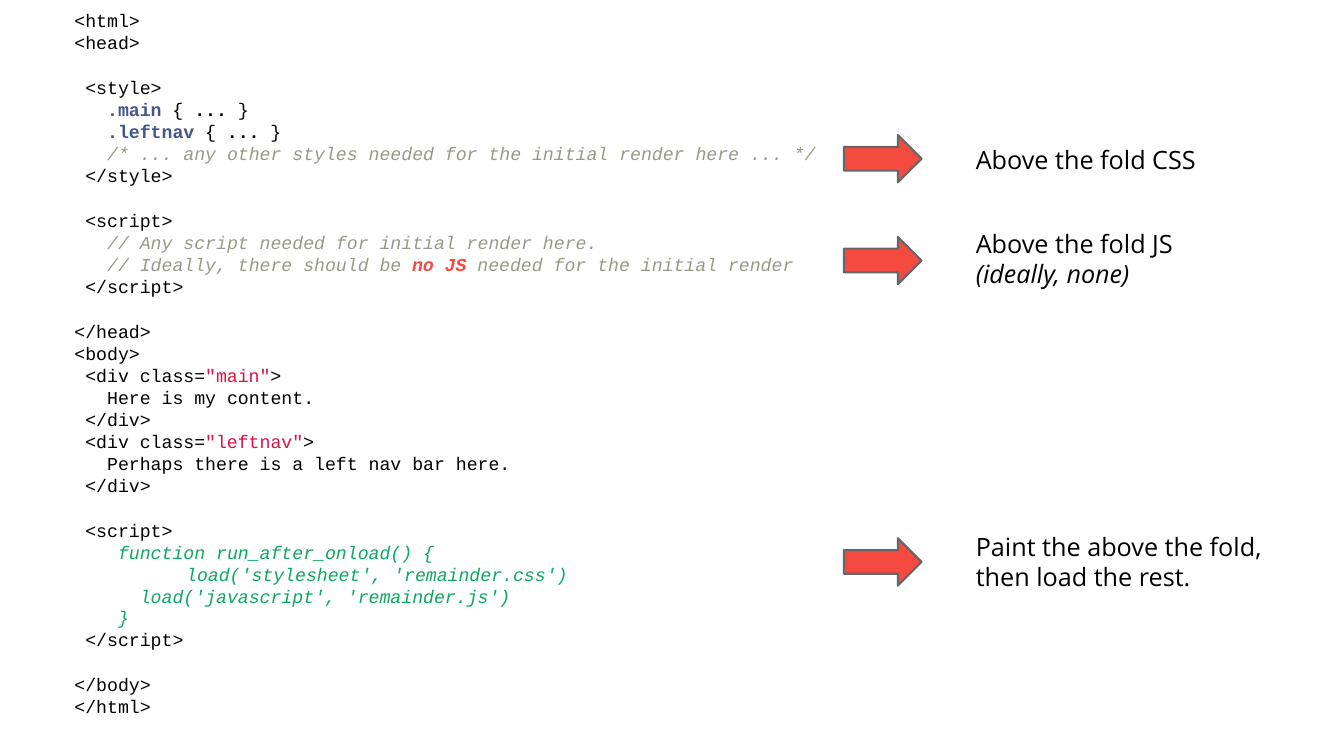
import pptx
import pptx.util
import pptx.dml.color
import pptx.enum.shapes
import pptx.enum.text
import pptx.oxml
import pptx.oxml.ns

COLOURS = {"paper": "FFFFFF", "ink": "000000", "selector": "445588",
           "comment": "999988", "alert": "F44A3F", "string": "DD1144",
           "function": "0DA861", "outline": "666666"}

# style: (colour, bold, italic)
STYLES = {"plain": ("ink", False, False), "strong": ("ink", True, False),
          "aside": ("ink", False, True), "selector": ("selector", True, False),
          "comment": ("comment", False, True), "alert": ("alert", True, True),
          "string": ("string", False, False), "function": ("function", False, True)}


def css_rule(selector):
    return ["   ", (selector, "selector"), " { ", ("...", "strong"), " }"]


def open_div(name):
    return [" <div class=", (f'"{name}"', "string"), ">"]


# Each block is a list of lines; each line is a list of runs, plain unless styled.
CODE_BLOCKS = [
    [["<html>"], ["<head>"]],
    [[" <style>"],
     css_rule(".main"),
     css_rule(".leftnav"),
     ["   ", ("/* ... any other styles needed for the initial render here ... */",
              "comment")],
     [" </style>"]],
    [[" <script>"],
     ["   ", ("// Any script needed for initial render here.", "comment")],
     ["   ", ("// Ideally, there should be ", "comment"), ("no JS", "alert"),
      (" needed for the initial render", "comment")],
     [" </script>"]],
    [["</head>"], ["<body>"],
     open_div("main"),
     ["   Here is my content."],
     [" </div>"],
     open_div("leftnav"),
     ["   Perhaps there is a left nav bar here."],
     [" </div>"]],
    [[" <script>"],
     [("    function run_after_onload() {", "function")],
     [("\t load('stylesheet', 'remainder.css')", "function")],
     [("      load('javascript', 'remainder.js')", "function")],
     [("    }", "function")],
     [" </script>"]],
    [["</body>"], ["</html>"]],
]

# (arrow top, label top, label width, label height, label lines)
CALLOUTS = [
    (1.34, 1.33, 2.69, 0.48, [["Above the fold CSS"]]),
    (2.35, 2.17, 2.58, 0.77, [["Above the fold JS"], [("(ideally, none)", "aside")]]),
    (5.34, 5.17, 3.2, 0.98, [["Paint the above the fold, then load the rest."]]),
]

CODE_AREA = (0.64, 0.2, 11.08, 6.81)
ARROW_LEFT, ARROW_WIDTH, ARROW_HEIGHT = 8.37, 0.77, 0.47
LABEL_LEFT = 9.58
CODE_TYPE = {"name": "Courier New", "size": pptx.util.Pt(13)}
LABEL_TYPE = {"name": "Open Sans", "size": pptx.util.Pt(18)}
CODE_PITCH, LABEL_PITCH, BLOCK_GAP = 15.7, 21.4, 16.4


def rgb(name):
    return pptx.dml.color.RGBColor.from_string(COLOURS[name])


def inches(*lengths):
    return [pptx.util.Inches(length) for length in lengths]


def set_all(target, values):
    for attribute, value in values.items():
        setattr(target, attribute, value)


def add_tab_stop(paragraph, position):
    tabs = pptx.oxml.parse_xml(
        f'<a:tabLst {pptx.oxml.ns.nsdecls("a")}><a:tab pos="{position}" algn="l"/></a:tabLst>')
    paragraph._p.get_or_add_pPr().append(tabs)


def write_lines(frame, blocks, typeface, pitch, anchor):
    """Fill a text frame, with a gap above every block but the first."""
    inset = pptx.util.Inches(0.1)
    set_all(frame, {"word_wrap": True, "vertical_anchor": anchor,
                    "margin_left": inset, "margin_right": inset,
                    "margin_top": inset, "margin_bottom": inset})
    paragraph = None
    for block_number, block in enumerate(blocks):
        for line_number, line in enumerate(block):
            paragraph = frame.add_paragraph() if paragraph else frame.paragraphs[0]
            runs = [(run, "plain") if isinstance(run, str) else run for run in line]
            if any("\t" in words for words, _ in runs):
                add_tab_stop(paragraph, pptx.util.Inches(1))
            paragraph.alignment = pptx.enum.text.PP_ALIGN.LEFT
            paragraph.line_spacing = pptx.util.Pt(pitch)
            if block_number and not line_number:
                paragraph.space_before = pptx.util.Pt(BLOCK_GAP)
            for words, style in runs:
                colour, bold, italic = STYLES[style]
                run = paragraph.add_run()
                run.text = words
                set_all(run.font, {**typeface, "bold": bold, "italic": italic})
                run.font.color.rgb = rgb(colour)


def add_filled(slide, kind, area, fill):
    shape = slide.shapes.add_shape(kind, *inches(*area))
    shape.shadow.inherit = False
    shape.fill.solid()
    shape.fill.fore_color.rgb = rgb(fill)
    return shape


def main():
    deck = pptx.Presentation()
    deck.slide_width, deck.slide_height = inches(13.33, 7.5)
    slide = deck.slides.add_slide(deck.slide_layouts[6])
    shapes = pptx.enum.shapes.MSO_SHAPE
    anchors = pptx.enum.text.MSO_ANCHOR

    listing = add_filled(slide, shapes.RECTANGLE, CODE_AREA, "paper")
    listing.line.fill.background()
    write_lines(listing.text_frame, CODE_BLOCKS, CODE_TYPE, CODE_PITCH, anchors.MIDDLE)

    for arrow_top, label_top, width, height, lines in CALLOUTS:
        arrow = add_filled(slide, shapes.RIGHT_ARROW,
                           (ARROW_LEFT, arrow_top, ARROW_WIDTH, ARROW_HEIGHT), "alert")
        arrow.line.color.rgb = rgb("outline")
        arrow.line.width = pptx.util.Pt(1.5)
        label = slide.shapes.add_textbox(*inches(LABEL_LEFT, label_top, width, height))
        write_lines(label.text_frame, [lines], LABEL_TYPE, LABEL_PITCH, anchors.TOP)

    deck.save("out.pptx")


if __name__ == "__main__":
    main()
